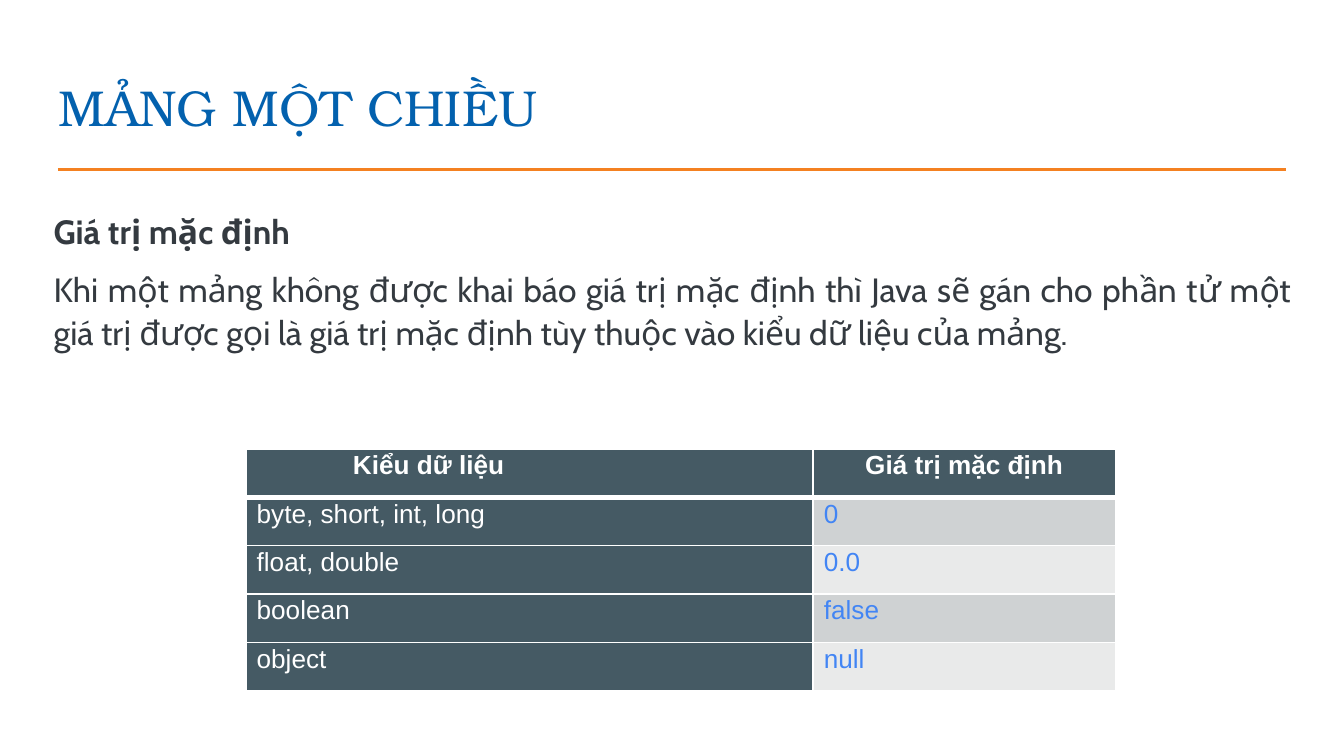
from dataclasses import dataclass

from lxml import etree
from pptx import Presentation
from pptx.dml.color import RGBColor
from pptx.enum.shapes import MSO_CONNECTOR
from pptx.enum.text import MSO_ANCHOR, PP_ALIGN
from pptx.oxml.ns import qn
from pptx.util import Inches, Pt

LEFT, CENTER, JUSTIFY = PP_ALIGN.LEFT, PP_ALIGN.CENTER, PP_ALIGN.JUSTIFY
TOP, BOTTOM = MSO_ANCHOR.TOP, MSO_ANCHOR.BOTTOM
STRAIGHT = MSO_CONNECTOR.STRAIGHT


@dataclass(frozen=True)
class Theme:
    title_color: str = "0361AE"
    rule_color: str = "F48121"
    body_color: str = "343A40"
    dark_fill: str = "455A64"
    band_fills: tuple = ("CFD2D3", "E9EAEA")
    value_color: str = "4285F4"
    white: str = "FFFFFF"
    title_font: str = "TeX Gyre Bonum"
    body_font: str = "Cabin"
    table_font: str = "Arial"
    title_size: float = 27
    body_size: float = 18
    table_size: float = 14
    line_spacing: float = 1.07
    space_after: float = 8


THEME = Theme()

HEADERS = ("Kiểu dữ liệu", "Giá trị mặc định")
DEFAULT_VALUES = (
    ("byte, short, int, long", "0"),
    ("float, double", "0.0"),
    ("boolean", "false"),
    ("object", "null"),
)


def write_text(paragraph, text, *, font, size, color, bold=False, align=LEFT,
               line_spacing=None, space_after=None):
    paragraph.alignment = align
    paragraph.line_spacing = line_spacing
    if space_after is not None:
        paragraph.space_after = Pt(space_after)
    run = paragraph.add_run()
    run.text = text
    run.font.name = font
    run.font.size = Pt(size)
    run.font.bold = bold
    run.font.color.rgb = RGBColor.from_string(color)


def add_text_frame(slide, left, top, width, height, *, anchor=TOP, inset_y=0.05):
    box = slide.shapes.add_textbox(Inches(left), Inches(top), Inches(width), Inches(height))
    frame = box.text_frame
    frame.word_wrap = True
    frame.vertical_anchor = anchor
    frame.margin_left = frame.margin_right = Inches(0.1)
    frame.margin_top = frame.margin_bottom = Inches(inset_y)
    return frame


def add_heading(slide, left, top, width, height):
    """Title with a rule below it."""
    frame = add_text_frame(slide, left, top, width, height, anchor=BOTTOM, inset_y=0.1)
    write_text(frame.paragraphs[0], "MẢNG MỘT CHIỀU", font=THEME.title_font,
               size=THEME.title_size, color=THEME.title_color)

    rule_y = Inches(top + height + 0.14)
    rule = slide.shapes.add_connector(STRAIGHT, Inches(left + 0.09), rule_y,
                                      Inches(left + width - 0.09), rule_y)
    rule.line.color.rgb = RGBColor.from_string(THEME.rule_color)
    rule.line.width = Pt(1.5)
    etree.SubElement(rule._element.spPr, qn("a:effectLst"))


def add_explanation(slide, left, top, width, height):
    """Bold lead line and the paragraph that explains it."""
    frame = add_text_frame(slide, left, top, width, height)
    lines = (
        ("Giá trị mặc định", True),
        ("Khi một mảng không được khai báo giá trị mặc định thì Java sẽ gán cho phần tử "
         "một giá trị được gọi là giá trị mặc định tùy thuộc vào kiểu dữ liệu của mảng.", False),
    )
    for index, (text, bold) in enumerate(lines):
        paragraph = frame.add_paragraph() if index else frame.paragraphs[0]
        write_text(paragraph, text, font=THEME.body_font, size=THEME.body_size,
                   color=THEME.body_color, bold=bold, align=JUSTIFY,
                   line_spacing=THEME.line_spacing, space_after=THEME.space_after)


def set_borders(cell, widths):
    """Draw white borders; widths maps L, R, T and B to points."""
    properties = cell._tc.get_or_add_tcPr()
    for index, (side, width) in enumerate(widths.items()):
        line = etree.Element(qn(f"a:ln{side}"), w=str(Pt(width)))
        fill = etree.SubElement(line, qn("a:solidFill"))
        etree.SubElement(fill, qn("a:srgbClr"), val=THEME.white)
        properties.insert(index, line)


def add_value_table(slide, left, top, width, height):
    """Data types and their default values."""
    rows = (HEADERS, *DEFAULT_VALUES)
    table = slide.shapes.add_table(len(rows), len(HEADERS), Inches(left), Inches(top),
                                   Inches(width), Inches(height)).table
    type_width = 4.22
    table.columns[0].width = Inches(type_width)
    table.columns[1].width = Inches(width - type_width)

    for row_index, row in enumerate(rows):
        table.rows[row_index].height = Inches(height / len(rows))
        is_header = row_index == 0
        for column_index, text in enumerate(row):
            cell = table.cell(row_index, column_index)
            is_value = column_index == 1 and not is_header
            fill = THEME.band_fills[(row_index - 1) % 2] if is_value else THEME.dark_fill
            cell.fill.solid()
            cell.fill.fore_color.rgb = RGBColor.from_string(fill)
            cell.margin_left = cell.margin_right = Inches(0.08)
            cell.margin_top = cell.margin_bottom = 0
            write_text(cell.text_frame.paragraphs[0], text, font=THEME.table_font,
                       size=THEME.table_size, bold=is_header,
                       color=THEME.value_color if is_value else THEME.white,
                       align=CENTER if is_header else LEFT,
                       line_spacing=THEME.line_spacing, space_after=THEME.space_after)
            set_borders(cell, {"L": 1, "R": 1, "T": 3 if row_index == 1 else 1,
                               "B": 3 if is_header else 1})

    # The first heading is centred left of the middle of its column
    table.cell(0, 0).margin_right = Inches(1.58)


def main():
    presentation = Presentation()
    # Widescreen, 16:9
    presentation.slide_width = Inches(10)
    presentation.slide_height = Inches(10) * 9 // 16
    slide = presentation.slides.add_slide(presentation.slide_layouts[6])

    add_heading(slide, 0.34, 0.49, 9.32, 0.63)
    add_explanation(slide, 0.3, 1.5, 9.41, 1.16)
    add_value_table(slide, 1.83, 3.34, 6.47, 1.8)

    presentation.save("out.pptx")


if __name__ == "__main__":
    main()
